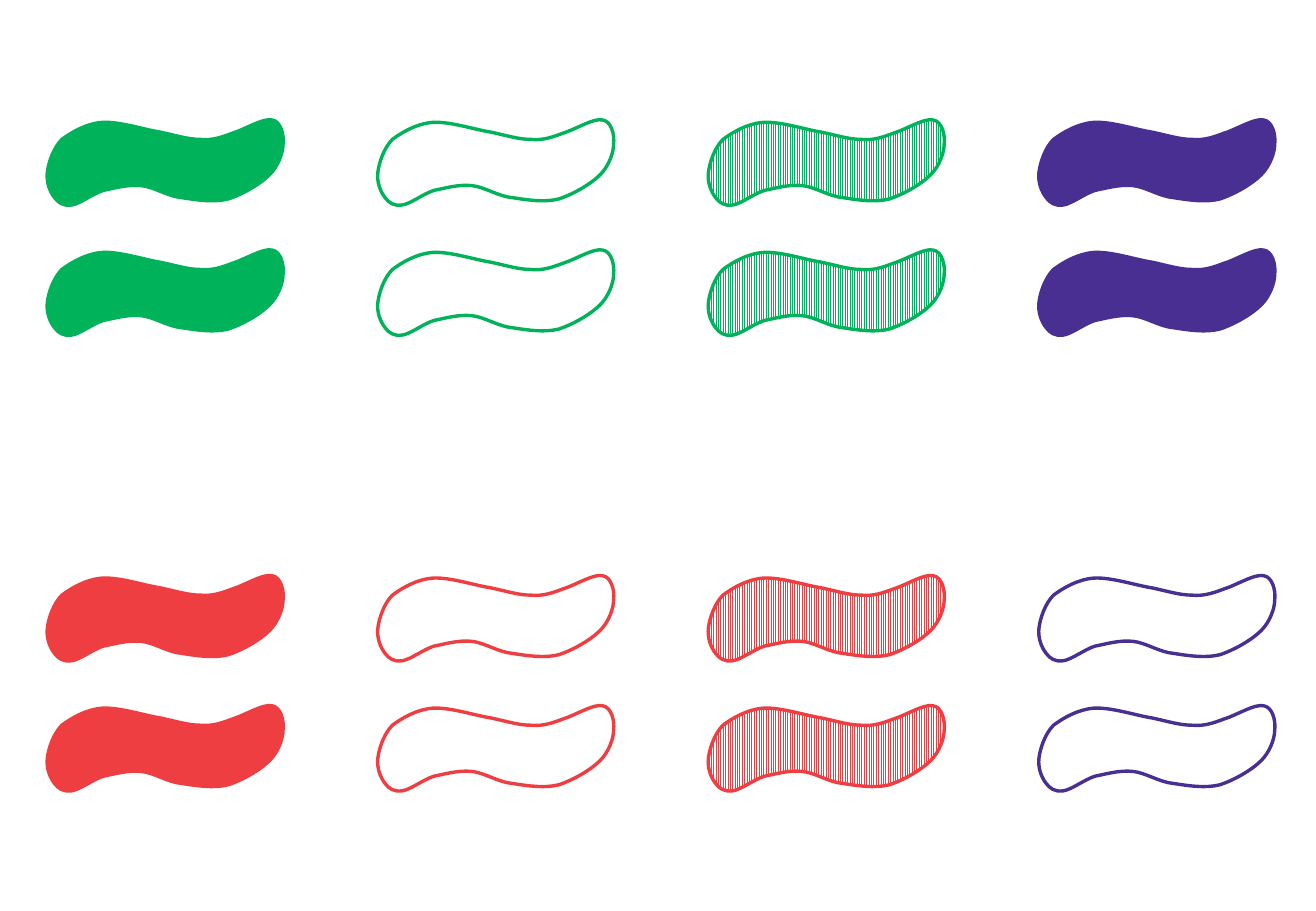
from pptx import Presentation
from pptx.dml.color import RGBColor
from pptx.enum.dml import MSO_LINE, MSO_PATTERN
from pptx.oxml.ns import qn
from pptx.util import Cm, Pt
from lxml.etree import SubElement

GREEN = RGBColor(0x00, 0xB2, 0x59)
RED = RGBColor(0xEF, 0x3E, 0x42)
PURPLE = RGBColor(0x49, 0x2F, 0x92)
WHITE = RGBColor(0xFF, 0xFF, 0xFF)

# Wave outline in hundredths of an inch: start, then two control points and an end
OUTLINE_UNIT = Cm(2.54) / 100
WAVE_START = (126, 16)
WAVE_CURVES = [
    ((116, 16), (107, 13), (93, 10)),
    ((80, 8), (59, 1), (45, 2)),
    ((32, 3), (20, 10), (12, 16)),
    ((5, 23), (1, 35), (0, 43)),
    ((-1, 51), (2, 59), (6, 64)),
    ((9, 68), (13, 71), (20, 70)),
    ((27, 69), (37, 61), (46, 58)),
    ((56, 56), (66, 53), (77, 54)),
    ((88, 55), (99, 63), (111, 64)),
    ((124, 66), (137, 68), (149, 65)),
    ((161, 61), (175, 53), (183, 45)),
    ((190, 38), (194, 27), (194, 20)),
    ((195, 12), (192, 1), (185, 0)),
    ((178, -2), (162, 8), (152, 11)),
    ((144, 14), (136, 17), (126, 16)),
]

# Grid of wave pairs
LEFT, TOP = Cm(0.99), Cm(2.51)
COLUMN_STEP = Cm(6.91)
BLOCK_STEP = Cm(9.53)
PAIR_STEP = Cm(2.72)
BLOCKS = [
    [(GREEN, "solid"), (GREEN, "open"), (GREEN, "striped"), (PURPLE, "solid")],
    [(RED, "solid"), (RED, "open"), (RED, "striped"), (PURPLE, "open")],
]


class WaveSlide:
    """Holds the line style and the current slide."""

    line_format = {"width": Pt(2), "dash_style": MSO_LINE.SOLID}

    def __init__(self, presentation):
        self.slide = presentation.slides.add_slide(presentation.slide_layouts[6])

    def add_wave(self, left, top, color, style):
        builder = self.slide.shapes.build_freeform(*WAVE_START, scale=OUTLINE_UNIT)
        builder.add_line_segments([curve[-1] for curve in WAVE_CURVES], close=True)
        shape = builder.convert_to_shape(left, top)
        self.bend_segments(shape)
        shape.shadow.inherit = False
        self.fill_wave(shape.fill, color, style)
        shape.line.color.rgb = color
        for name, value in self.line_format.items():
            setattr(shape.line, name, value)
        return shape

    def bend_segments(self, shape):
        """Turn each straight segment of the outline into its Bézier curve."""
        segments = list(shape.element.iter(qn("a:lnTo")))
        for segment, curve in zip(segments, WAVE_CURVES):
            bend = segment.makeelement(qn("a:cubicBezTo"))
            for x, y in curve:
                SubElement(bend, qn("a:pt"), x=str(x), y=str(y))
            segment.getparent().replace(segment, bend)

    def fill_wave(self, fill, color, style):
        if style == "striped":
            fill.patterned()
            fill.pattern = MSO_PATTERN.LIGHT_VERTICAL
            fill.fore_color.rgb = color
            fill.back_color.rgb = WHITE
        else:
            fill.solid()
            fill.fore_color.rgb = color if style == "solid" else WHITE

    def add_pair(self, left, top, color, style):
        waves = [self.add_wave(left, top + row * PAIR_STEP, color, style)
                 for row in range(2)]
        return self.slide.shapes.add_group_shape(waves)


def main():
    presentation = Presentation()
    presentation.slide_width = Cm(27.51)
    presentation.slide_height = Cm(19.05)
    wave_slide = WaveSlide(presentation)

    # Two blocks of four wave pairs
    for block, pairs in enumerate(BLOCKS):
        for column, (color, style) in enumerate(pairs):
            wave_slide.add_pair(LEFT + column * COLUMN_STEP,
                                TOP + block * BLOCK_STEP, color, style)

    presentation.save("out.pptx")


if __name__ == "__main__":
    main()
